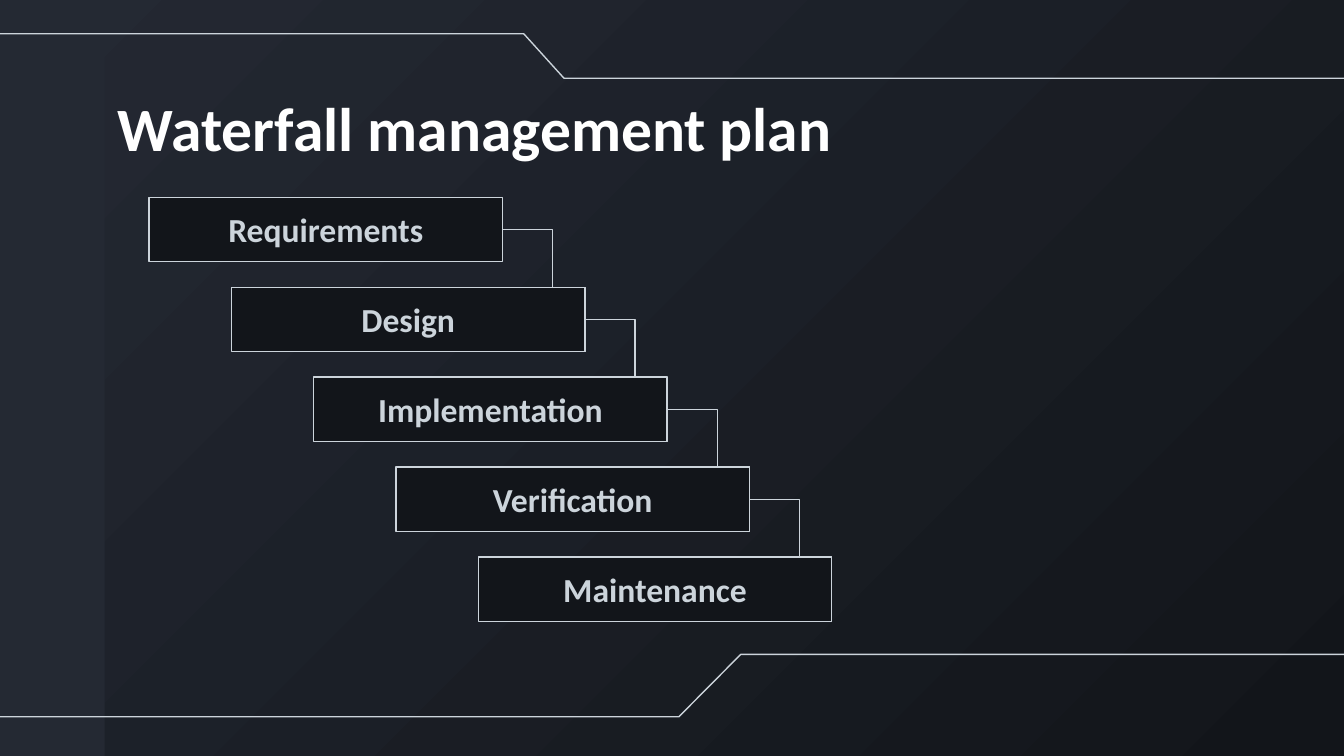
from lxml import etree
from pptx import Presentation
from pptx.dml.color import RGBColor
from pptx.enum.shapes import MSO_CONNECTOR, MSO_SHAPE
from pptx.enum.text import MSO_ANCHOR, MSO_AUTO_SIZE, PP_ALIGN
from pptx.oxml.ns import qn
from pptx.util import Cm, Pt

RECTANGLE = MSO_SHAPE.RECTANGLE
ELBOW = MSO_CONNECTOR.ELBOW
TOP, MIDDLE = MSO_ANCHOR.TOP, MSO_ANCHOR.MIDDLE
LEFT, CENTER = PP_ALIGN.LEFT, PP_ALIGN.CENTER
NO_AUTOFIT = MSO_AUTO_SIZE.NONE

DARK, SLATE, PALE, WHITE = "12151A", "242933", "CCD4DB", "FFFFFF"
TOP_SITE, RIGHT_SITE = 0, 3


def paint(item, fill=None, line=None):
    """Set fill and outline; a missing colour means none."""
    if fill:
        item.fill.solid()
        item.fill.fore_color.rgb = RGBColor.from_string(fill)
    elif hasattr(item, "fill"):
        item.fill.background()
    if line:
        item.line.color.rgb = RGBColor.from_string(line)
        item.line.width = Pt(0.75)
    else:
        item.line.fill.background()
    if hasattr(item, "shadow"):
        item.shadow.inherit = False


def write(shape, text, size, color, align, anchor):
    frame = shape.text_frame
    frame.text = text
    frame.word_wrap = True
    frame.auto_size = NO_AUTOFIT
    frame.vertical_anchor = anchor
    frame.margin_left = frame.margin_right = Cm(0.25)
    frame.margin_top = frame.margin_bottom = Cm(0.25)
    paragraph = frame.paragraphs[0]
    paragraph.alignment = align
    paragraph.font.name = "Calibri"
    paragraph.font.size = Pt(size)
    paragraph.font.bold = True
    paragraph.font.color.rgb = RGBColor.from_string(color)


prs = Presentation()
prs.slide_width, prs.slide_height = Cm(25.4), Cm(14.29)
slide = prs.slides.add_slide(prs.slide_layouts[5])
shapes = slide.shapes

# Background, darkest in the bottom right corner
backdrop = slide.background.fill
backdrop.gradient()
backdrop.gradient_angle = 135
for stop, position, color in zip(backdrop.gradient_stops, (0, 1), (DARK, SLATE)):
    stop.position = position
    stop.color.rgb = RGBColor.from_string(color)

sidebar = shapes.add_shape(RECTANGLE, 0, 0, Cm(1.98), prs.slide_height)
paint(sidebar, SLATE)

# Stepped rules along the bottom and the top
bottom_rule = [(25.63, 12.37), (14, 12.37), (12.83, 13.55), (-0.43, 13.55)]
top_rule = [(-1.55, 0.64), (9.9, 0.64), (10.66, 1.48), (25.55, 1.48)]
for rule in (bottom_rule, top_rule):
    start, *others = [(Cm(x), Cm(y)) for x, y in rule]
    builder = shapes.build_freeform(*start)
    builder.add_line_segments(others, close=False)
    paint(builder.convert_to_shape(), line=PALE)

title = shapes.title
title.left, title.top, title.width, title.height = Cm(1.98), Cm(1.45), Cm(21.44), Cm(1.6)
write(title, "Waterfall management plan", 33, WHITE, LEFT, TOP)

# Cascade of phases; a square at each box's right end receives the connector
phases = ["Requirements", "Design", "Implementation", "Verification", "Maintenance"]
box_width, box_height = Cm(6.68), Cm(1.22)
boxes, squares = [], []
for i, phase in enumerate(phases):
    left, top = Cm(2.82 + 1.555 * i), Cm(3.73 + 1.7 * i)
    if i:
        square = shapes.add_shape(
            RECTANGLE, left + box_width - box_height, top, box_height, box_height)
        paint(square, DARK, PALE)
        squares.append(square)
    box = shapes.add_shape(RECTANGLE, left, top, box_width, box_height)
    paint(box, DARK, PALE)
    write(box, phase, 18, PALE, CENTER, MIDDLE)
    boxes.append(box)

for box, square in zip(boxes, squares):
    link = shapes.add_connector(ELBOW, 0, 0, 0, 0)
    link.begin_connect(box, RIGHT_SITE)
    link.end_connect(square, TOP_SITE)
    paint(link, line=PALE)
    properties = link._element.spPr
    properties.find(qn("a:prstGeom")).set("prst", "bentConnector2")
    etree.SubElement(properties, qn("a:effectLst"))

prs.save("out.pptx")
